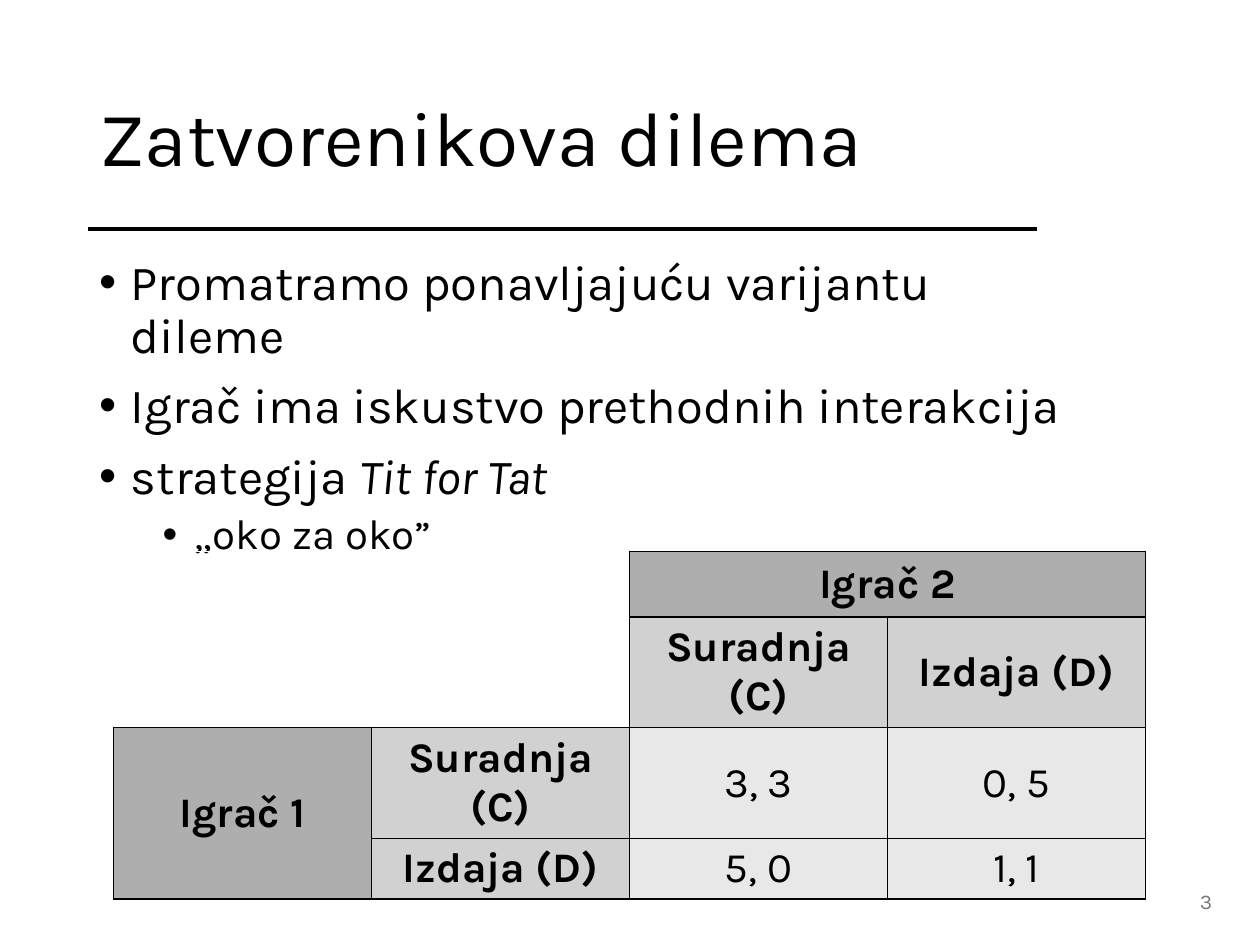
from lxml.etree import SubElement
from pptx import Presentation
from pptx.dml.color import RGBColor
from pptx.enum.shapes import MSO_CONNECTOR
from pptx.enum.text import MSO_ANCHOR as Anchor, PP_ALIGN as Align
from pptx.oxml.ns import qn
from pptx.util import Cm, Pt

BLACK = RGBColor(0x00, 0x00, 0x00)
NUMBER_GRAY = RGBColor(0x79, 0x79, 0x79)
PLAYER_GRAY = RGBColor(0xAE, 0xAE, 0xAE)
CHOICE_GRAY = RGBColor(0xD1, 0xD1, 0xD1)
PAYOFF_GRAY = RGBColor(0xE8, 0xE8, 0xE8)

# Level, size, space before, runs as (text, italic)
BULLETS = [
    (0, 28, 10, [("Promatramo ponavljajuću varijantu dileme", False)]),
    (0, 28, 10, [("Igrač ima iskustvo prethodnih interakcija", False)]),
    (0, 28, 10, [("strategija ", False), ("Tit for Tat", True)]),
    (1, 24, 5, [("„oko za oko”", False)]),
]
CHOICES = ["Suradnja (C)", "Izdaja (D)"]
PAYOFFS = [["3, 3", "0, 5"], ["5, 0", "1, 1"]]


class SlideBuilder:
    font = "Karla"
    line_spacing = 0.9
    indent = Cm(0.64)
    table_size = 24

    def __init__(self, slide):
        self.slide = slide

    def add_run(self, paragraph, text, size, color=BLACK, bold=False, italic=False):
        run = paragraph.add_run()
        run.text = text
        font = run.font
        font.name, font.size = self.font, Pt(size)
        font.bold, font.italic = bold, italic
        font.color.rgb = color

    def add_frame(self, left, top, width, height, anchor=Anchor.TOP):
        box = self.slide.shapes.add_textbox(Cm(left), Cm(top), Cm(width), Cm(height))
        frame = box.text_frame
        frame.word_wrap = True
        frame.vertical_anchor = anchor
        return frame

    def add_title(self, text):
        paragraph = self.add_frame(1.75, 1.02, 21.89, 3.68, Anchor.MIDDLE).paragraphs[0]
        paragraph.line_spacing = self.line_spacing
        self.add_run(paragraph, text, 44)

    def add_rule(self, left, right, top):
        line = self.slide.shapes.add_connector(
            MSO_CONNECTOR.STRAIGHT, Cm(left), Cm(top), Cm(right), Cm(top))
        line.line.color.rgb = BLACK
        line.line.width = Pt(2)
        SubElement(line._element.spPr, qn("a:effectLst"))

    def add_bullets(self, items):
        frame = self.add_frame(1.75, 5.08, 19.91, 12.09)
        for index, (level, size, space, runs) in enumerate(items):
            paragraph = frame.add_paragraph() if index else frame.paragraphs[0]
            paragraph.level = level
            paragraph.line_spacing = self.line_spacing
            paragraph.space_before = Pt(space)
            properties = paragraph._p.get_or_add_pPr()
            properties.set("marL", str(self.indent * (1 + 2 * level)))
            properties.set("indent", str(-self.indent))
            SubElement(properties, qn("a:buFont"), typeface="Arial")
            SubElement(properties, qn("a:buChar"), char="•")
            for text, italic in runs:
                self.add_run(paragraph, text, size, italic=italic)

    def add_page_number(self, text):
        paragraph = self.add_frame(18.97, 17.65, 5.72, 1.02, Anchor.MIDDLE).paragraphs[0]
        paragraph.alignment = Align.RIGHT
        self.add_run(paragraph, text, 12, NUMBER_GRAY)

    def add_borders(self, cell):
        properties = cell._tc.get_or_add_tcPr()
        for side in ("lnL", "lnR", "lnT", "lnB"):
            border = SubElement(properties, qn(f"a:{side}"), w=str(Pt(1)))
            fill = SubElement(border, qn("a:solidFill"))
            SubElement(fill, qn("a:srgbClr"), val=str(BLACK))

    def fill_cell(self, cell, text, color, bold=True, inset=(0.23, 0.1)):
        across, down = map(Cm, inset)
        cell.margin_left = cell.margin_right = across
        cell.margin_top = cell.margin_bottom = down
        cell.vertical_anchor = Anchor.MIDDLE
        cell.fill.solid()
        cell.fill.fore_color.rgb = color
        paragraph = cell.text_frame.paragraphs[0]
        paragraph.alignment = Align.CENTER
        self.add_run(paragraph, text, self.table_size, bold=bold)

    def add_payoff_table(self, choices, payoffs):
        """Two-player matrix with an empty 2 by 2 corner."""
        table = self.slide.shapes.add_table(
            4, 4, Cm(2.29), Cm(11.12), Cm(20.8), Cm(4.73)).table
        table.first_row = table.horz_banding = False
        for row, height in zip(table.rows, (1.22, 1.17, 1.17, 1.17)):
            row.height = Cm(height)
        for row in range(4):
            for column in range(4):
                cell = table.cell(row, column)
                if row < 2 and column < 2:
                    cell.fill.background()
                else:
                    self.add_borders(cell)

        for first, last in (((0, 0), (1, 1)), ((0, 2), (0, 3)), ((2, 0), (3, 0))):
            table.cell(*first).merge(table.cell(*last))
        for position, player in (((0, 2), "Igrač 2"), ((2, 0), "Igrač 1")):
            self.fill_cell(table.cell(*position), player, PLAYER_GRAY, inset=(0.3, 0.15))
        for index, choice in enumerate(choices, start=2):
            self.fill_cell(table.cell(1, index), choice, CHOICE_GRAY)
            self.fill_cell(table.cell(index, 1), choice, CHOICE_GRAY)
        for row, values in enumerate(payoffs, start=2):
            for column, value in enumerate(values, start=2):
                self.fill_cell(table.cell(row, column), value, PAYOFF_GRAY, bold=False)


def main():
    presentation = Presentation()
    presentation.slide_width, presentation.slide_height = Cm(25.4), Cm(19.05)
    builder = SlideBuilder(presentation.slides.add_slide(presentation.slide_layouts[6]))
    builder.add_rule(1.78, 20.9, 4.62)
    builder.add_title("Zatvorenikova dilema")
    builder.add_bullets(BULLETS)
    builder.add_payoff_table(CHOICES, PAYOFFS)
    builder.add_page_number("3")
    presentation.save("out.pptx")


if __name__ == "__main__":
    main()
